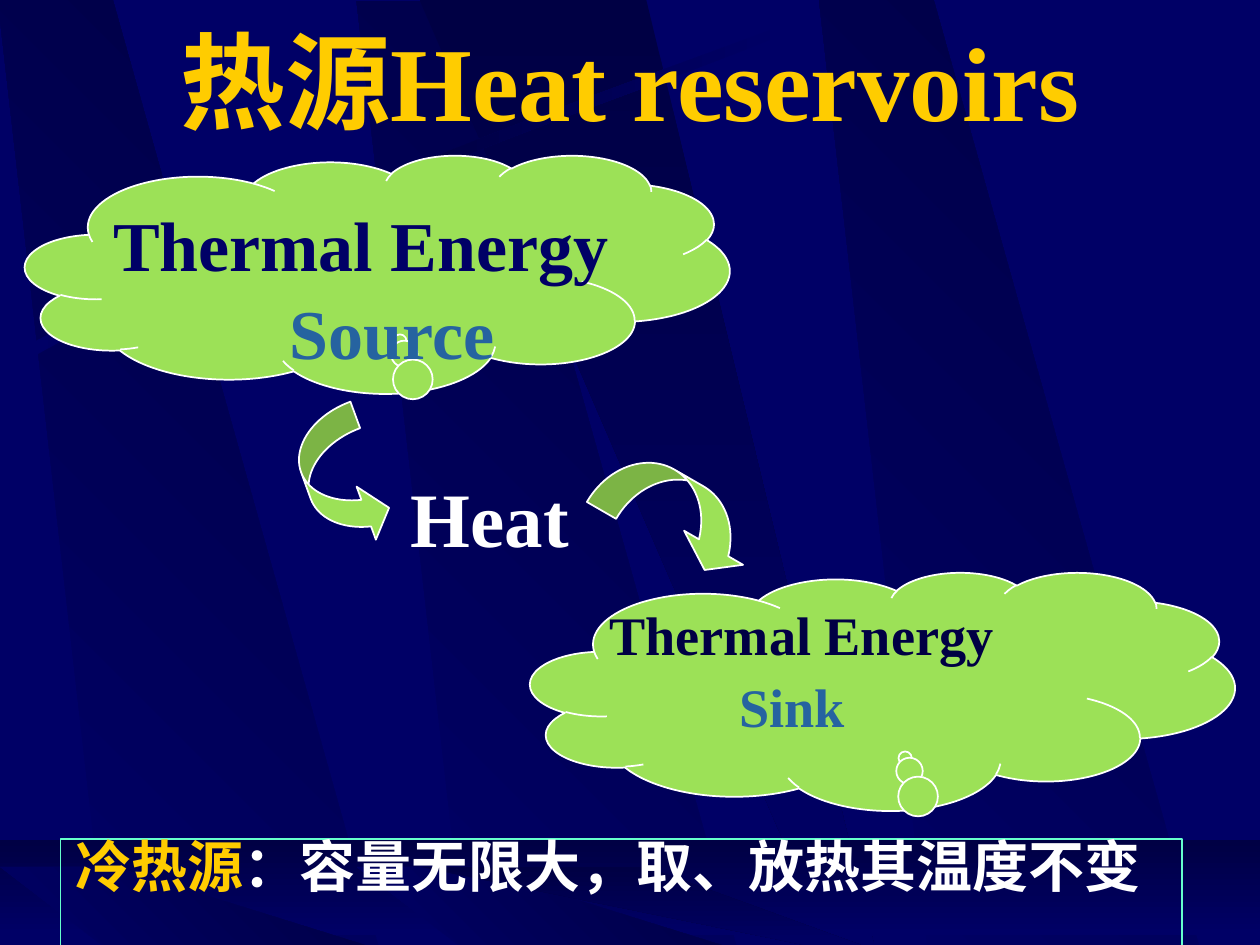
from dataclasses import dataclass

from pptx import Presentation
from pptx.dml.color import RGBColor
from pptx.enum.shapes import MSO_SHAPE as Shape
from pptx.enum.text import MSO_ANCHOR as Anchor, PP_ALIGN as Align
from pptx.oxml import parse_xml
from pptx.oxml.ns import nsdecls
from pptx.util import Inches, Pt


@dataclass(frozen=True)
class Theme:
    font: str = "Times New Roman"
    navy: str = "000066"
    midnight: str = "000044"
    gold: str = "FFCC00"
    white: str = "FFFFFF"
    green: str = "9CE157"
    blue: str = "2663A0"
    aqua: str = "66FFCC"
    title_size: int = 60
    heat_size: int = 44
    source_size: int = 40
    note_size: int = 32
    sink_size: int = 31


THEME = Theme()
CLOUD_SIZE = (5.59, 1.89)


def rgb(value):
    return RGBColor.from_string(value)


def style_font(font, size, color):
    font.name = THEME.font
    font.size = Pt(size)
    font.bold = True
    font.color.rgb = rgb(color)


def set_gradient(shape, colors, angle):
    """Spread colors evenly along a clockwise angle in degrees."""
    step = 100000 // (len(colors) - 1)
    stops = "".join(
        f'<a:gs pos="{i * step}"><a:srgbClr val="{color}"/></a:gs>'
        for i, color in enumerate(colors))
    gradient = parse_xml(
        f'<a:gradFill {nsdecls("a")} rotWithShape="1"><a:gsLst>{stops}</a:gsLst>'
        f'<a:lin ang="{angle * 60000}" scaled="0"/></a:gradFill>')
    shape.fill.background()
    properties = shape._element.spPr
    properties.replace(properties.find("{*}noFill"), gradient)
    shape.line.fill.background()
    shape.shadow.inherit = False


def add_polygon(slide, points, colors, angle):
    start, *rest = [(Inches(x), Inches(y)) for x, y in points]
    builder = slide.shapes.build_freeform(*start, scale=1.0)
    builder.add_line_segments(rest, close=True)
    set_gradient(builder.convert_to_shape(), colors, angle)


def bezier(p0, p1, p2, p3, steps=16):
    for i in range(steps + 1):
        t = i / steps
        weights = ((1 - t) ** 3, 3 * t * (1 - t) ** 2, 3 * t * t * (1 - t), t ** 3)
        yield tuple(sum(w * p[axis] for w, p in zip(weights, (p0, p1, p2, p3)))
                    for axis in (0, 1))


def add_band(slide, left, top, height):
    corners = ((0.86, height), (3.02, height), (0.91, 0), (0, 0))
    add_polygon(slide, [(left + x, top + y) for x, y in corners],
                (THEME.navy, THEME.midnight), 315)


def add_ray(slide, left, top, height):
    corners = ((0, 0), (3.25, height), (3.61, height), (1.8, 0))
    add_polygon(slide, [(left + x, top + y) for x, y in corners],
                (THEME.midnight, THEME.navy), 90)


def add_backdrop(slide):
    background = slide.background.fill
    background.solid()
    background.fore_color.rgb = rgb(THEME.navy)
    for left, top in ((2.83, 0.01), (-0.02, -0.02), (6.5, 0)):
        add_band(slide, left, top, 7.52)
    add_ray(slide, 3.33, 0, 7.51)
    streak = [*bezier((0.2, 2.75), (2.84, 1.34), (5.24, 0.59), (6.26, 0.18)),
              *bezier((6.29, 0.24), (5.28, 0.69), (2.54, 1.51), (0.23, 2.85))]
    add_polygon(slide, streak, (THEME.navy, THEME.midnight, THEME.navy), 0)
    floor = slide.shapes.add_shape(
        Shape.RECTANGLE, 0, Inches(6.67), Inches(10), Inches(0.75))
    set_gradient(floor, (THEME.midnight, THEME.navy), 90)
    for left in (2.83, 0):
        add_band(slide, left, 6.88, 0.66)
    add_ray(slide, 3.33, 6.88, 0.66)


def add_green_shape(slide, kind, box, adjustments, rotation=0):
    shape = slide.shapes.add_shape(kind, *map(Inches, box))
    for i, value in enumerate(adjustments):
        shape.adjustments[i] = value
    shape.rotation = rotation
    shape.fill.solid()
    shape.fill.fore_color.rgb = rgb(THEME.green)
    shape.line.color.rgb = rgb(THEME.white)
    shape.line.width = Pt(1)
    shape.shadow.inherit = False


def add_label(slide, box, lines, size, gap=0):
    """Each line is (indent in inches, wording, color)."""
    frame = slide.shapes.add_textbox(*map(Inches, box)).text_frame
    frame.word_wrap = True
    for i, (indent, wording, color) in enumerate(lines):
        paragraph = frame.add_paragraph() if i else frame.paragraphs[0]
        paragraph._p.get_or_add_pPr().set("marL", str(Inches(indent)))
        paragraph.text = wording
        paragraph.line_spacing = 0.8
        if i:
            paragraph.space_before = Pt(gap)
        style_font(paragraph.font, size, color)


def add_title(slide, box):
    frame = slide.shapes.add_textbox(*map(Inches, box)).text_frame
    frame.word_wrap = True
    frame.vertical_anchor = Anchor.MIDDLE
    title = frame.paragraphs[0]
    title.text = "热源Heat reservoirs"
    title.alignment = Align.CENTER
    style_font(title.font, THEME.title_size, THEME.gold)


def add_reservoir(slide, left, top, label_box, lines, size, gap):
    """Cloud at left, top; the label box is relative to that corner."""
    add_green_shape(slide, Shape.CLOUD_CALLOUT, (left, top, *CLOUD_SIZE), (0.032, 0.281))
    x, y, width, height = label_box
    add_label(slide, (left + x, top + y, width, height), lines, size, gap)


def add_heat_flow(slide, left, top):
    add_green_shape(slide, Shape.CURVED_RIGHT_ARROW, (left, top, 0.56, 1.12),
                    (0.4, 0.8, 0.33), 340)
    add_label(slide, (left + 0.29, top + 0.58, 2.84, 0.94),
              [(0.44, "Heat", THEME.white)], THEME.heat_size)
    add_green_shape(slide, Shape.CURVED_DOWN_ARROW, (left + 2.28, top + 0.54, 1.35, 0.57),
                    (0.47, 0.95, 0.33), 30)


def add_note(slide, box):
    note = slide.shapes.add_shape(Shape.RECTANGLE, *map(Inches, box))
    note.fill.background()
    note.line.color.rgb = rgb(THEME.aqua)
    note.line.width = Pt(1)
    note.shadow.inherit = False
    frame = note.text_frame
    frame.word_wrap = True
    frame.vertical_anchor = Anchor.TOP
    frame.margin_top = 0
    frame.margin_right = Inches(0.3)
    paragraph = frame.paragraphs[0]
    paragraph.alignment = Align.CENTER
    paragraph.line_spacing = 0.9
    for wording, color in (("冷热源", THEME.gold),
                           ("：容量无限大，取、放热其温度不变", THEME.white)):
        run = paragraph.add_run()
        run.text = wording
        style_font(run.font, THEME.note_size, color)


def main():
    deck = Presentation()
    deck.slide_width, deck.slide_height = Inches(10), Inches(7.5)
    slide = deck.slides.add_slide(deck.slide_layouts[6])
    add_backdrop(slide)
    add_title(slide, (0.75, 0.08, 8.5, 1.1))
    add_reservoir(slide, 0.2, 1.23, (0.23, 0.45, 4.66, 1.81),
                  [(0.37, "Thermal Energy", THEME.navy), (1.77, "Source", THEME.blue)],
                  THEME.source_size, 12)
    add_reservoir(slide, 4.21, 4.54, (-0.23, 0.28, 5.98, 1.33),
                  [(0.76, "Thermal Energy", THEME.midnight), (1.79, "Sink", THEME.blue)],
                  THEME.sink_size, 11.5)
    add_heat_flow(slide, 2.43, 3.25)
    add_note(slide, (0.48, 6.66, 8.9, 1))
    deck.save("out.pptx")


if __name__ == "__main__":
    main()
